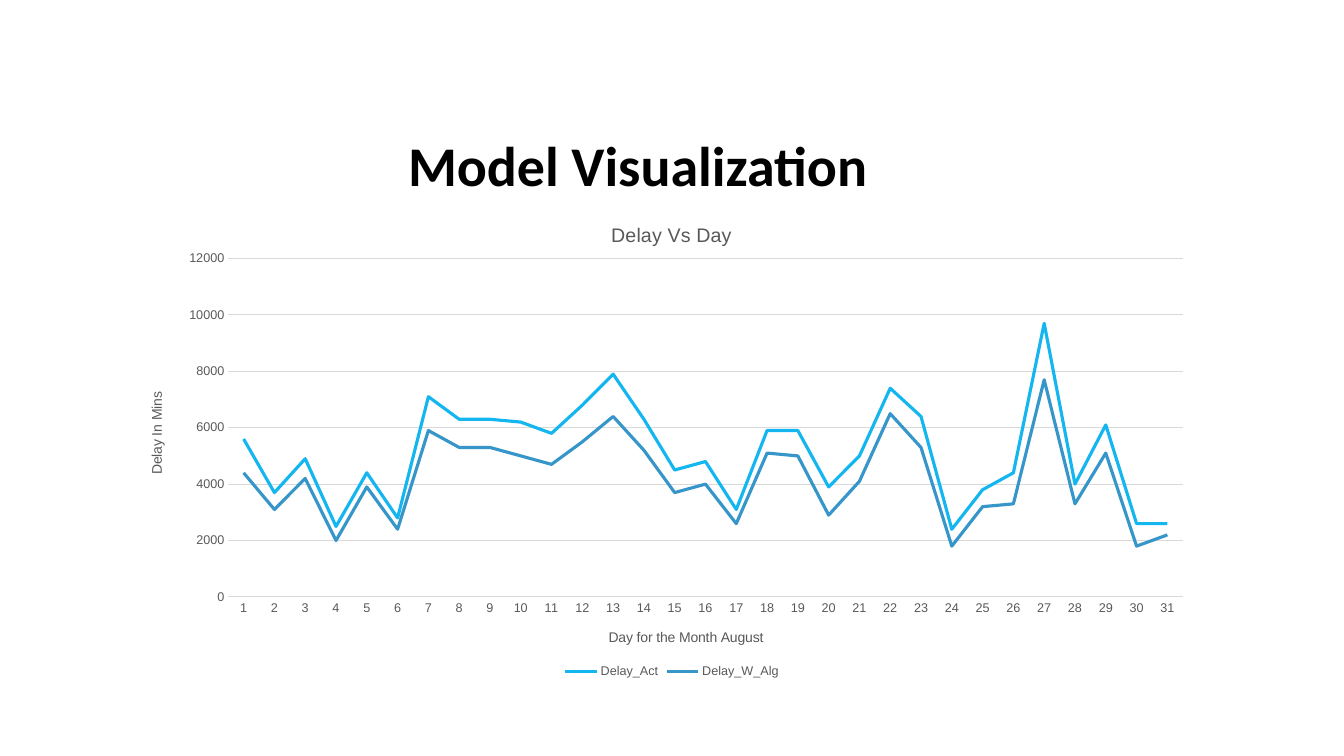
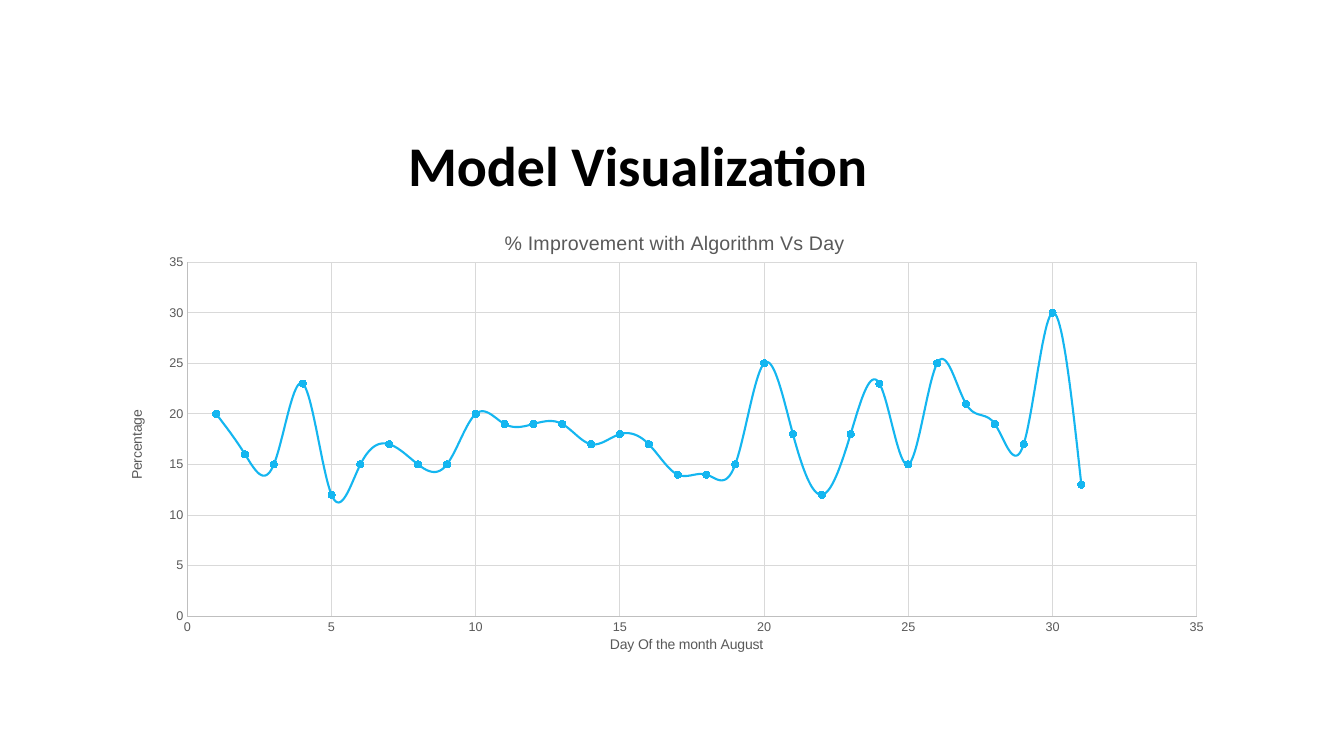
from lxml import etree
from pptx import Presentation
from pptx.chart import data as cd
from pptx.dml.color import RGBColor
from pptx.enum import chart as ch, text
from pptx.oxml import ns
from pptx.util import Pt

BLACK, GRAY, GRID, AXIS = "000000", "595959", "D9D9D9", "BFBFBF"
CYAN, BLUE = "14B6F0", "3796C9"
CHART_TOP = 145.7
DAYS = range(1, 32)
DELAY_ACT = [5600, 3700, 4900, 2500, 4400, 2800, 7100, 6300, 6300, 6200, 5800,
             6800, 7900, 6300, 4500, 4800, 3100, 5900, 5900, 3900, 5000,
             7400, 6400, 2400, 3800, 4400, 9700, 4000, 6100, 2600, 2600]
DELAY_ALG = [4400, 3100, 4200, 2000, 3900, 2400, 5900, 5300, 5300, 5000, 4700,
             5500, 6400, 5200, 3700, 4000, 2600, 5100, 5000, 2900, 4100,
             6500, 5300, 1800, 3200, 3300, 7700, 3300, 5100, 1800, 2200]
IMPROVEMENT = [20, 16, 15, 23, 12, 15, 17, 15, 15, 20, 19, 19, 19, 17, 18, 17,
               14, 14, 15, 25, 18, 12, 18, 23, 15, 25, 21, 19, 17, 30, 13]


def rgb(color):
    return RGBColor.from_string(color)


def set_font(font, size, color, name="Arial", bold=False):
    font.name, font.size, font.bold = name, Pt(size), bold
    font.color.rgb = rgb(color)


def set_line(line, color, width=0.75):
    line.color.rgb = rgb(color)
    line.width = Pt(width)


def add_title_slide(prs, title):
    s = prs.slides.add_slide(prs.slide_layouts[6])
    tf = s.shapes.add_textbox(Pt(284.4), Pt(90), Pt(371.5), Pt(55.4)).text_frame
    tf.word_wrap = True
    tf.auto_size = text.MSO_AUTO_SIZE.SHAPE_TO_FIT_TEXT
    p = tf.paragraphs[0]
    p.text = title
    p.alignment = text.PP_ALIGN.JUSTIFY
    set_font(p.font, 40, BLACK, "Calibri", True)
    return s


def make_layout(percents, inner=False):
    layout = etree.Element(ns.qn("c:layout"))
    manual = etree.SubElement(layout, ns.qn("c:manualLayout"))
    settings = [("layoutTarget", "inner")] if inner else []
    settings += [("xMode", "edge"), ("yMode", "edge")]
    settings += [(k, str(round(v / 100, 3))) for k, v in zip("xywh", percents)]
    for tag, value in settings:
        etree.SubElement(manual, ns.qn("c:" + tag)).set("val", value)
    return layout


def drop_layout(element):
    for layout in element.findall(ns.qn("c:layout")):
        element.remove(layout)


def write_title(tf, words, size):
    p = tf.paragraphs[0]
    p.text = words
    set_font(p.font, size, GRAY)


def add_chart(s, kind, data, box, title, title_at, plot_at):
    chart = s.shapes.add_chart(kind, *map(Pt, box), data).chart
    set_font(chart.font, 10, BLACK)
    chart.has_title = True
    write_title(chart.chart_title.text_frame, title, 14)
    title_el = chart.chart_title._element
    drop_layout(title_el)
    title_el.find(ns.qn("c:tx")).addnext(make_layout(title_at))
    plot_el = chart._chartSpace.chart.plotArea
    drop_layout(plot_el)
    plot_el.insert(0, make_layout(plot_at, True))
    chart.plots[0].vary_by_categories = False
    chart.has_legend = False
    return chart


def style_axis(axis, title, line=None, grid=True, vertical=False):
    tf = axis.axis_title.text_frame
    write_title(tf, title, 10)
    if vertical:
        tf._txBody.bodyPr.set("rot", "-5400000")
        tf._txBody.bodyPr.set("vert", "horz")
    axis.major_tick_mark = axis.minor_tick_mark = ch.XL_TICK_MARK.NONE
    set_font(axis.tick_labels.font, 9, GRAY)
    axis.has_major_gridlines = grid
    if grid:
        set_line(axis.major_gridlines.format.line, GRID)
    if line:
        set_line(axis.format.line, line)
    else:
        axis.format.line.fill.background()


def set_scale(axis, maximum, step):
    axis.minimum_scale, axis.maximum_scale, axis.major_unit = 0, maximum, step


def add_delay_chart(s):
    data = cd.CategoryChartData()
    data.categories = [str(day) for day in DAYS]
    data.add_series("Delay_Act", DELAY_ACT)
    data.add_series("Delay_W_Alg", DELAY_ALG)
    chart = add_chart(s, ch.XL_CHART_TYPE.LINE, data, (103.6, CHART_TOP, 752.6, 342),
                      "Delay Vs Day", (43.9, 3), (7.9, 11.4, 90.6, 70.7))
    style_axis(chart.category_axis, "Day for the Month August", GRID, False)
    style_axis(chart.value_axis, "Delay In Mins", vertical=True)
    set_scale(chart.value_axis, 12000, 2000)
    for series, color in zip(chart.plots[0].series, (CYAN, BLUE)):
        series.smooth = False
        series.marker.style = ch.XL_MARKER_STYLE.NONE
        set_line(series.format.line, color, 2.25)
    chart.has_legend = True
    chart.legend.position = ch.XL_LEGEND_POSITION.BOTTOM
    chart.legend.include_in_layout = False
    set_font(chart.legend.font, 9, GRAY)


def add_improvement_chart(s):
    data = cd.XyChartData()
    points = data.add_series("Series 1")
    for day, percentage in zip(DAYS, IMPROVEMENT):
        points.add_data_point(day, percentage)
    chart = add_chart(s, ch.XL_CHART_TYPE.XY_SCATTER_SMOOTH, data,
                      (89.3, CHART_TOP, 781.2, 323.3),
                      "% Improvement with Algorithm Vs Day", (34.4, 5.1),
                      (5.7, 12.9, 92.3, 78.2))
    style_axis(chart.category_axis, "Day Of the month August", AXIS)
    style_axis(chart.value_axis, "Percentage", AXIS, vertical=True)
    for axis in (chart.category_axis, chart.value_axis):
        set_scale(axis, 35, 5)
        axis.tick_labels.number_format = "General"
        axis.tick_labels.number_format_is_linked = False
    series = chart.plots[0].series[0]
    series._element.get_or_add_smooth().val = True
    set_line(series.format.line, CYAN, 1.5)
    marker = series.marker
    marker.style, marker.size = ch.XL_MARKER_STYLE.CIRCLE, 5
    marker.format.fill.solid()
    marker.format.fill.fore_color.rgb = rgb(CYAN)
    set_line(marker.format.line, CYAN)


def main():
    prs = Presentation()
    prs.slide_width, prs.slide_height = Pt(960), Pt(540)
    for add_content in (add_delay_chart, add_improvement_chart):
        add_content(add_title_slide(prs, "Model Visualization"))
    prs.save("out.pptx")


if __name__ == "__main__":
    main()
